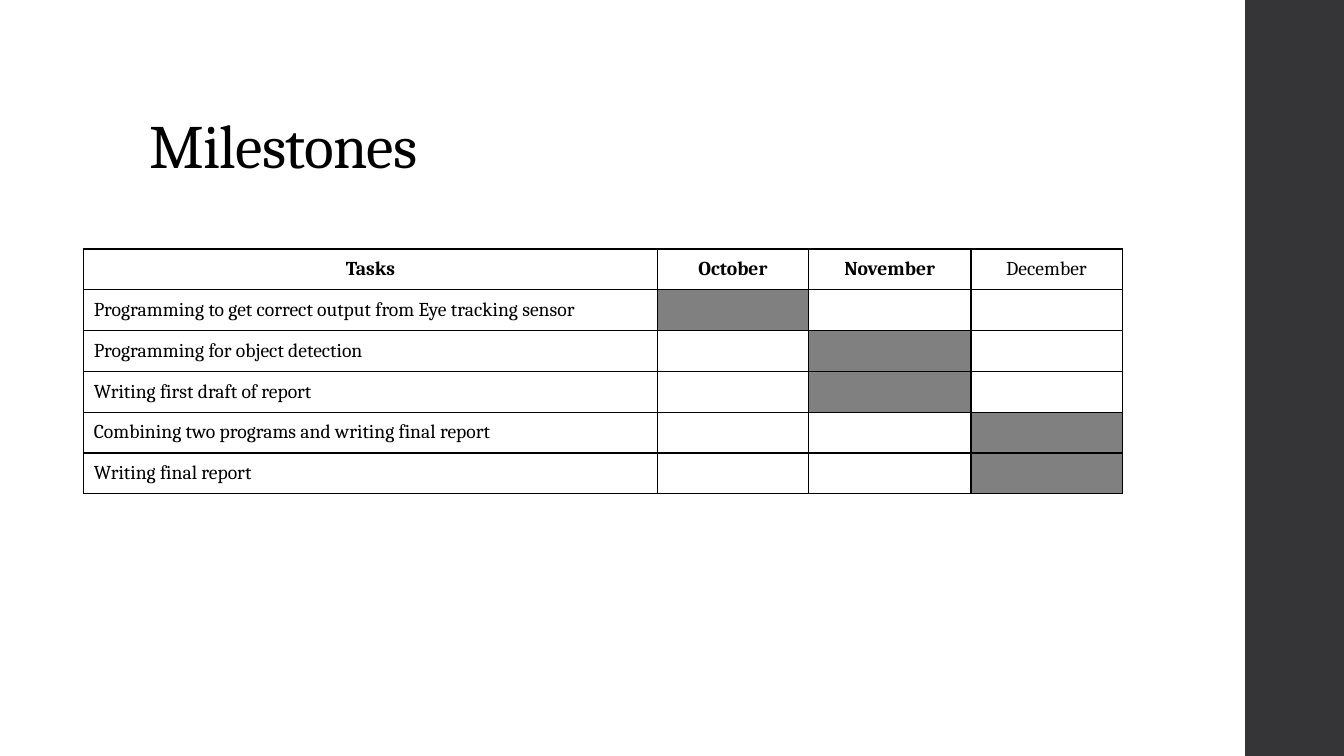
from dataclasses import dataclass

from lxml.etree import SubElement
from pptx import Presentation
from pptx.dml.color import RGBColor
from pptx.enum.shapes import MSO_SHAPE as Shape
from pptx.enum.text import MSO_ANCHOR as Anchor, PP_ALIGN as Align
from pptx.oxml.ns import qn
from pptx.table import _Cell as Cell
from pptx.text.text import _Paragraph as Paragraph
from pptx.util import Inches, Pt

FONT = "Cambria"
BLACK = RGBColor(0x00, 0x00, 0x00)
WHITE = RGBColor(0xFF, 0xFF, 0xFF)
GRAY = RGBColor(0x80, 0x80, 0x80)
CHARCOAL = RGBColor(0x35, 0x35, 0x37)


@dataclass
class Column:
    label: str
    width: float
    bold: bool = True


@dataclass
class Task:
    name: str
    month: str


COLUMNS = [
    Column("Tasks", 5.69),
    Column("October", 1.5),
    Column("November", 1.61),
    Column("December", 1.5, bold=False),
]
TASKS = [
    Task("Programming to get correct output from Eye tracking sensor", "October"),
    Task("Programming for object detection", "November"),
    Task("Writing first draft of report", "November"),
    Task("Combining two programs and writing final report", "December"),
    Task("Writing final report", "December"),
]


def format_text(p: Paragraph, size: float, bold: bool, align: Align) -> None:
    p.alignment = align
    for r in p.runs:
        r.font.name = FONT
        r.font.size = Pt(size)
        r.font.bold = bold
        r.font.color.rgb = BLACK


def add_borders(cell: Cell) -> None:
    tc_pr = cell._tc.get_or_add_tcPr()
    for i, side in enumerate(("a:lnL", "a:lnR", "a:lnT", "a:lnB")):
        ln = SubElement(tc_pr, qn(side), w=str(Pt(1)))
        fill = SubElement(ln, qn("a:solidFill"))
        SubElement(fill, qn("a:srgbClr"), val=str(BLACK))
        tc_pr.insert(i, ln)  # borders come before the cell fill


def fill_cell(cell: Cell, text: str, color: RGBColor,
              bold: bool = False, align: Align = Align.LEFT) -> None:
    cell.text = text
    cell.vertical_anchor = Anchor.MIDDLE
    cell.margin_top = cell.margin_bottom = 0
    cell.fill.solid()
    cell.fill.fore_color.rgb = color
    format_text(cell.text_frame.paragraphs[0], 14, bold, align)
    add_borders(cell)


def main() -> None:
    prs = Presentation()
    prs.slide_width, prs.slide_height = Inches(13.33), Inches(7.5)
    s = prs.slides.add_slide(prs.slide_layouts[5])
    s.background.fill.solid()
    s.background.fill.fore_color.rgb = WHITE

    # Side band
    band = s.shapes.add_shape(Shape.RECTANGLE, Inches(12.35), 0, Inches(1), Inches(7.5))
    band.shadow.inherit = False
    band.fill.solid()
    band.fill.fore_color.rgb = CHARCOAL
    band.line.fill.background()

    # Title
    title = s.shapes.title
    title.left, title.top = Inches(1.38), Inches(0.4)
    title.width, title.height = Inches(10.6), Inches(1.45)
    tf = title.text_frame
    tf.text = "Milestones"
    tf.vertical_anchor = Anchor.BOTTOM
    p = tf.paragraphs[0]
    p.line_spacing = 0.9
    format_text(p, 44, False, Align.LEFT)
    p.runs[0].font._element.set("spc", "-50")

    # Schedule table
    table = s.shapes.add_table(
        len(TASKS) + 1, len(COLUMNS),
        Inches(0.83), Inches(2.47), Inches(10.3), Inches(2.43)).table
    table.horz_banding = False
    for j, column in enumerate(COLUMNS):
        table.columns[j].width = Inches(column.width)
        fill_cell(table.cell(0, j), column.label, WHITE, column.bold, Align.CENTER)
        for i, task in enumerate(TASKS, start=1):
            color = GRAY if column.label == task.month else WHITE
            fill_cell(table.cell(i, j), task.name if j == 0 else "", color)

    prs.save("out.pptx")


if __name__ == "__main__":
    main()
